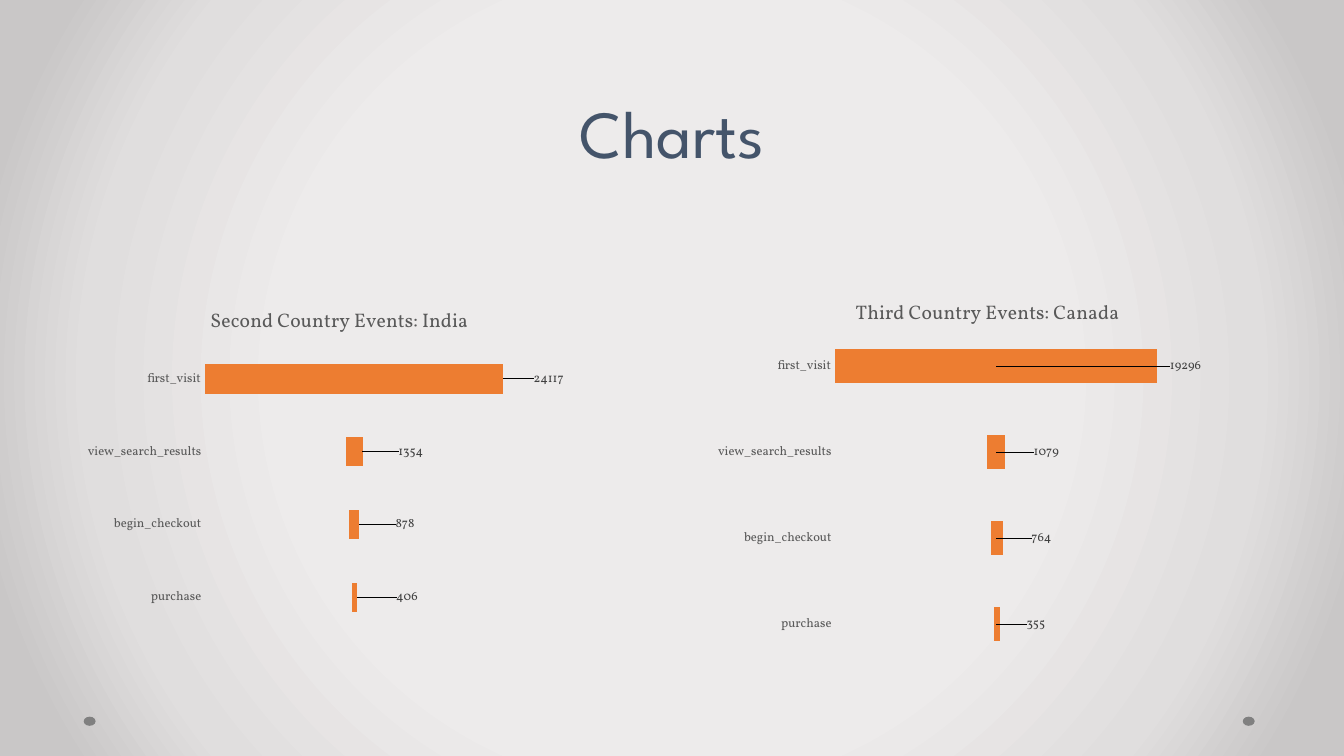
from pptx import Presentation
from pptx import util as u
from pptx.chart import data
from pptx.dml import color
from pptx.enum import chart as ch, shapes, text
from pptx.oxml import ns, parse_xml

SIZE = (33.87, 19.05)
HEAD = ("Charts", (1.7, 0, 30.48, 4.45))
DOTS = [(31.32, 18.06, 0.3, 0.23), (2.11, 18.06, 0.3, 0.23)]
STOPS = [(50, "EDEBEB"), (76, "E0DEDE"), (92, "C9C7C7")]
STEPS = ["purchase", "begin_checkout", "view_search_results", "first_visit"]
FACE = "Vollkorn"
POS = ch.XL_LABEL_POSITION
CHARTS = [
    {"title": "Second Country Events: India", "box": (1.7, 6.93, 13.51, 10.08),
     "pad": (11900, 11600, 11400, 0), "count": (406, 878, 1354, 24117),
     "top": 30000, "plot": (0.257, 0.169, 0.692, 0.729), "head": (0.26, 0.07),
     "pos": POS.INSIDE_END, "shift": (0.12, 0.11, 0.12, 0.12)},
    {"title": "Third Country Events: Canada", "box": (17.83, 6.6, 14.02, 10.41),
     "pad": (9500, 9300, 9100, 0), "count": (355, 764, 1079, 19296),
     "top": 25000, "plot": (0.23, 0.148, 0.75, 0.833), "head": (0.26, 0.08),
     "pos": POS.CENTER, "shift": (0.07, 0.08, 0.09, 0.34)},
]


def put(item, **vals):
    for key, val in vals.items():
        setattr(item, key, val)


def hue(code):
    return color.RGBColor.from_string(code)


def cm(box):
    return [u.Cm(n) for n in box]


def ink(font, size, code, name=FACE):
    put(font, size=u.Pt(size), name=name, bold=False)
    font.color.rgb = hue(code)


def fill(form, code):
    form.fill.solid()
    form.fill.fore_color.rgb = hue(code)
    form.line.fill.background()


def layout(spot, inner=False, fixed=True):
    parts = '<c:layoutTarget val="inner"/>' if inner else ""
    if fixed:
        parts += '<c:xMode val="edge"/><c:yMode val="edge"/>'
    parts += "".join(f'<c:{k} val="{v}"/>' for k, v in zip("xywh", spot))
    return parse_xml(f'<c:layout {ns.nsdecls("c")}><c:manualLayout>{parts}'
                     '</c:manualLayout></c:layout>')


def place(node, lay, after=None):
    for old in node.findall(ns.qn("c:layout")):
        node.remove(old)
    if after is None:
        node.insert(0, lay)
    else:
        node.find(ns.qn(after)).addnext(lay)


def paint(slide):
    stops = "".join(f'<a:gs pos="{p * 1000}"><a:srgbClr val="{c}"/></a:gs>'
                    for p, c in STOPS)
    slide.element.cSld.insert(0, parse_xml(
        f'<p:bg {ns.nsdecls("p", "a")}><p:bgPr><a:gradFill rotWithShape="1">'
        f'<a:gsLst>{stops}</a:gsLst><a:path path="circle"><a:fillToRect '
        'l="50000" t="50000" r="50000" b="50000"/></a:path></a:gradFill>'
        '<a:effectLst/></p:bgPr></p:bg>'))


def funnel(slide, part):
    facts = data.CategoryChartData()
    facts.categories = STEPS
    facts.add_series("Series 1", part["pad"])
    facts.add_series("Series 2", part["count"])
    chart = slide.shapes.add_chart(
        ch.XL_CHART_TYPE.BAR_STACKED, *cm(part["box"]), facts).chart
    ink(chart.font, 10, "000000")
    chart.has_legend = False
    title = chart.chart_title
    line = title.text_frame.paragraphs[0].add_run()
    line.text = part["title"]
    ink(line.font, 14, "595959")
    place(title._element, layout(part["head"]), "c:tx")
    plot = chart.plots[0]
    put(plot, gap_width=150, overlap=100, vary_by_categories=False)
    place(chart._chartSpace.chart.plotArea, layout(part["plot"], True))
    axis = chart.category_axis
    put(axis, major_tick_mark=ch.XL_TICK_MARK.NONE,
        minor_tick_mark=ch.XL_TICK_MARK.NONE, has_major_gridlines=False)
    axis.format.line.fill.background()
    ink(axis.tick_labels.font, 9, "595959")
    put(chart.value_axis, minimum_scale=0, maximum_scale=part["top"],
        has_major_gridlines=False, visible=False)
    pad, bars = plot.series
    pad.format.fill.background()
    pad.format.line.fill.background()
    fill(bars.format, "ED7D31")
    put(bars.data_labels, show_value=True, position=part["pos"])
    ink(bars.data_labels.font, 9, "404040")
    for i in range(len(STEPS)):
        label = bars.points[i].data_label
        label.position = part["pos"]
        ink(label.font, 9, "404040")
    tags = bars._element.iter(ns.qn("c:dLbl"))
    for tag, dx in zip(list(tags), part["shift"]):
        place(tag, layout((dx, 0), fixed=False), "c:idx")


def main():
    deck = Presentation()
    put(deck, slide_width=u.Cm(SIZE[0]), slide_height=u.Cm(SIZE[1]))
    slide = deck.slides.add_slide(deck.slide_layouts[6])
    paint(slide)
    for box in DOTS:
        dot = slide.shapes.add_shape(shapes.MSO_SHAPE.OVAL, *cm(box))
        dot.shadow.inherit = False
        fill(dot, "808080")
    words, box = HEAD
    frame = slide.shapes.add_textbox(*cm(box)).text_frame
    put(frame, word_wrap=True, vertical_anchor=text.MSO_ANCHOR.BOTTOM)
    para = frame.paragraphs[0]
    put(para, alignment=text.PP_ALIGN.CENTER, line_spacing=u.Pt(48))
    run = para.add_run()
    run.text = words
    ink(run.font, 48, "44546A", "League Spartan")
    for part in CHARTS:
        funnel(slide, part)
    deck.save("out.pptx")


if __name__ == "__main__":
    main()
